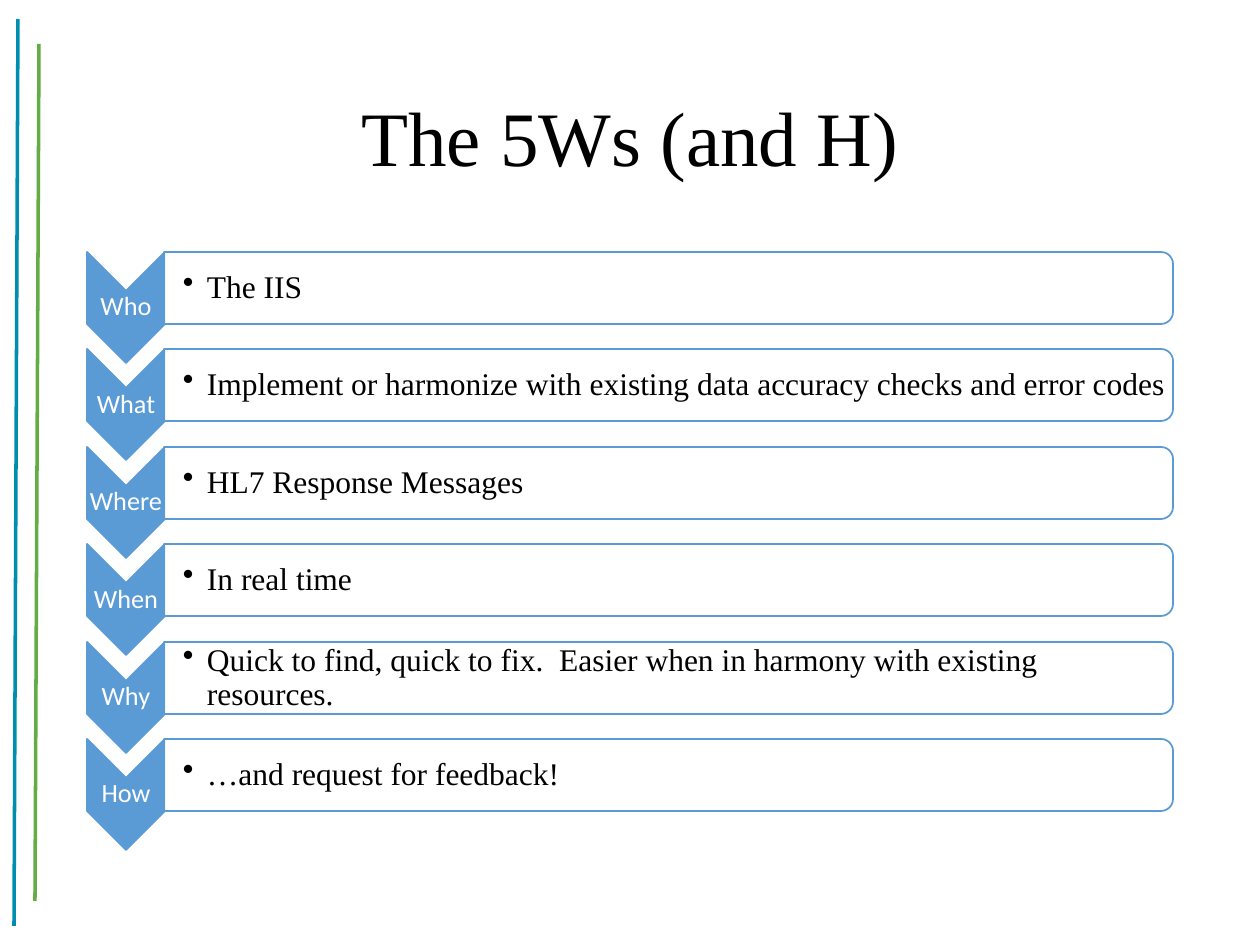
from lxml import etree
from pptx import Presentation
from pptx.dml.color import RGBColor
from pptx.enum import shapes, text
from pptx.oxml.ns import qn
from pptx.util import Emu, Pt

EMU_PER_PX = 914400 / 126
BLUE, TEAL, GREEN = "5B9BD5", "008EB0", "64AD45"
SERIF, SANS = "Times New Roman", "Calibri"

QUESTIONS = [
    ("Who", "The IIS"),
    ("What", "Implement or harmonize with existing data accuracy checks and error codes"),
    ("Where", "HL7 Response Messages"),
    ("When", "In real time"),
    ("Why", "Quick to find, quick to fix.  Easier when in harmony with existing resources."),
    ("How", "…and request for feedback!"),
]
TOP = 252
TWO_ROWS = 195


def px(*lengths):
    return [Emu(round(n * EMU_PER_PX)) for n in lengths]


def color(hex_string):
    return RGBColor.from_string(hex_string)


class Deck:
    def __init__(self, width, height):
        self.prs = Presentation()
        self.prs.slide_width, self.prs.slide_height = px(width, height)
        self.slide = self.prs.slides.add_slide(self.prs.slide_layouts[6])

    def rule(self, start, end, stroke):
        line = self.slide.shapes.add_connector(
            shapes.MSO_CONNECTOR.STRAIGHT, *px(*start, *end))
        line.line.color.rgb = color(stroke)
        line.line.width = Pt(2)
        etree.SubElement(line._element.spPr, qn("a:effectLst"))

    def turned(self, preset, box, fill, opacity=100):
        """Add a preset rotated a quarter turn so that it covers box."""
        left, top, width, height = box
        shift = (width - height) / 2
        shape = self.slide.shapes.add_shape(
            preset, *px(left + shift, top - shift, height, width))
        shape.rotation = 90
        shape.shadow.inherit = False
        shape.fill.solid()
        shape.fill.fore_color.rgb = color(fill)
        if opacity < 100:
            rgb = shape._element.spPr.find(qn("a:solidFill"))[0]
            etree.SubElement(rgb, qn("a:alpha"), val=str(opacity * 1000))
        shape.line.color.rgb = color(BLUE)
        shape.line.width = Pt(1)

    def words(self, content, box, size, font, ink="000000",
              insets=(1, 1, 1, 1), bullet_indent=0):
        frame = self.slide.shapes.add_textbox(*px(*box)).text_frame
        left, top, right, bottom = px(*insets)
        layout = {"word_wrap": True, "vertical_anchor": text.MSO_ANCHOR.MIDDLE,
                  "margin_left": left, "margin_top": top,
                  "margin_right": right, "margin_bottom": bottom}
        for name, value in layout.items():
            setattr(frame, name, value)
        paragraph = frame.paragraphs[0]
        paragraph.line_spacing = 0.9
        paragraph.alignment = text.PP_ALIGN.LEFT if bullet_indent else text.PP_ALIGN.CENTER
        run = paragraph.add_run()
        run.text = content
        run.font.size, run.font.name = Pt(size), font
        run.font.color.rgb = color(ink)
        if bullet_indent:
            indent = px(bullet_indent)[0]
            properties = paragraph._p.get_or_add_pPr()
            properties.set("marL", str(indent))
            properties.set("indent", str(-indent))
            etree.SubElement(properties, qn("a:buChar"), char="•")

    def question(self, label, answer, top):
        self.turned(shapes.MSO_SHAPE.CHEVRON, (87, top, 78, 111), BLUE)
        self.words(label, (87, top + 39, 78, 33), 15, SANS, "FFFFFF")
        self.turned(shapes.MSO_SHAPE.ROUND_2_SAME_RECTANGLE,
                    (164, top, 1009, 72), "FFFFFF", opacity=90)
        self.words(answer, (165, top + 3, 1006, 66), 18, SERIF,
                   insets=(18, 1, 1, 1), bullet_indent=24)


def main():
    deck = Deck(1260, 945)
    deck.rule((18, 19), (14, 926), TEAL)
    deck.rule((39, 44), (35, 901), GREEN)
    deck.words("The 5Ws (and H)", (87, 50, 1086, 183), 44, SERIF, insets=(13, 6, 13, 6))
    for row, (label, answer) in enumerate(QUESTIONS):
        deck.question(label, answer, TOP + row * TWO_ROWS // 2)
    deck.prs.save("out.pptx")


if __name__ == "__main__":
    main()
